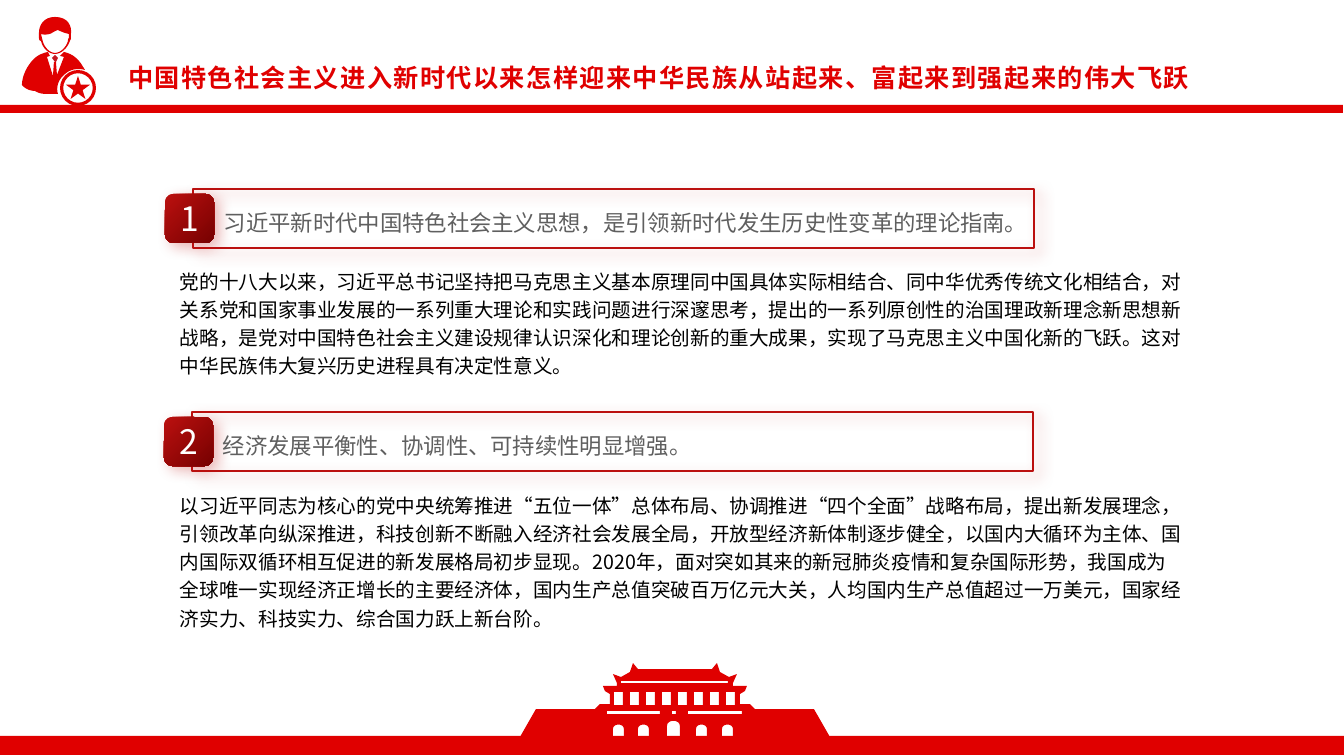
from dataclasses import dataclass

from lxml import etree
from pptx import Presentation, util as u
from pptx.dml.color import RGBColor
from pptx.enum import shapes, text
from pptx.oxml.ns import qn

# ---- Content ----
TITLE = "中国特色社会主义进入新时代以来怎样迎来中华民族从站起来、富起来到强起来的伟大飞跃"
SECTIONS = [
    # number, heading, body, left and top of heading box, top and height of body
    ("1", "习近平新时代中国特色社会主义思想，是引领新时代发生历史性变革的理论指南。",
     "党的十八大以来，习近平总书记坚持把马克思主义基本原理同中国具体实际相结合、"
     "同中华优秀传统文化相结合，对关系党和国家事业发展的一系列重大理论和实践问题进行深邃思考，"
     "提出的一系列原创性的治国理政新理念新思想新战略，"
     "是党对中国特色社会主义建设规律认识深化和理论创新的重大成果，"
     "实现了马克思主义中国化新的飞跃。这对中华民族伟大复兴历史进程具有决定性意义。",
     193, 189, 260, 124),
    ("2", "经济发展平衡性、协调性、可持续性明显增强。",
     "以习近平同志为核心的党中央统筹推进“五位一体”总体布局、协调推进“四个全面”战略布局，"
     "提出新发展理念，引领改革向纵深推进，科技创新不断融入经济社会发展全局，"
     "开放型经济新体制逐步健全，以国内大循环为主体、国内国际双循环相互促进的新发展格局初步显现。"
     "2020年，面对突如其来的新冠肺炎疫情和复杂国际形势，我国成为全球唯一实现经济正增长的主要经济体，"
     "国内生产总值突破百万亿元大关，人均国内生产总值超过一万美元，"
     "国家经济实力、科技实力、综合国力跃上新台阶。",
     192, 412, 484, 152),
]

# Outlines in px: two numbers are a point, six are a cubic curve
HEAD = [(39, 38), (39, 40, 40, 41, 41, 41), (43, 49, 49, 54, 55, 54),
        (61, 54, 67, 49, 70, 41), (70, 40, 71, 40, 71, 38), (71, 34),
        (72, 26, 68, 17, 55, 17), (44, 17, 39, 25, 39, 33)]
FACE = [(41, 34), (43, 35, 49, 35, 52, 33), (55, 31, 58, 30, 58, 30),
        (58, 30, 59, 31, 65, 33), (69, 34), (69, 38), (68, 39, 68, 40, 68, 41),
        (66, 48, 60, 53, 55, 53), (50, 53, 45, 48, 43, 42)]
SUIT = [(64, 75), (70, 69, 78, 68, 85, 70), (84, 68, 83, 67, 82, 65),
        (78, 59, 73, 54, 64, 52), (60, 56), (64, 57), (57, 75), (56, 62), (54, 62),
        (53, 76), (47, 57), (50, 56), (48, 52), (38, 54, 33, 59, 29, 65),
        (24, 72, 22, 80, 22, 85), (26, 90, 32, 91, 35, 91), (38, 93, 42, 94, 46, 94),
        (58, 94), (56, 88, 58, 80, 64, 75)]
KNOT = [(52, 58), (55, 55), (58, 58), (56, 62), (55, 62)]
GATE_CENTRE, GATE_BASE = 675, 737
GATE_HALF = [(155, 737), (139, 709), (80, 709), (75, 704), (65, 704), (65, 694),
             (70, 691), (72, 686), (58, 686), (58, 683), (62, 674), (54, 677),
             (45, 672), (42, 663), (37, 669)]  # distance from the centre, y
SLITS = [(621, 681, 107, 2), (607, 711, 53, 3), (672, 711, 4, 3), (688, 711, 54, 3)]
ARCHES = [(613, 724, 11), (638, 724, 11), (667, 720, 13), (696, 724, 11), (722, 724, 11)]


@dataclass(frozen=True)
class Theme:
    font: str = "Noto Sans CJK SC"
    red: str = "E00000"
    knot: str = "C61821"
    crimson: str = "BB100F"
    maroon: str = "770101"
    white: str = "FFFFFF"
    grey: str = "5F5F5F"
    black: str = "000000"
    title: int = 18
    number: int = 24
    heading: int = 16
    body: int = 14


T = Theme()
SCALE = 914400 / 100.8  # EMU per px


def px(n):
    return u.Emu(round(n * SCALE))


def rgb(color):
    return RGBColor.from_string(color)


prs = Presentation()
prs.slide_width, prs.slide_height = px(1344), px(756)
s = prs.slides.add_slide(prs.slide_layouts[5])


# ---- Helpers ----
def write(sp, words, size, color, spacing=1.0, align=text.PP_ALIGN.LEFT):
    tf = sp.text_frame
    tf.word_wrap = True
    p = tf.paragraphs[0]
    p.text, p.alignment, p.line_spacing = words, align, spacing
    p.font.size, p.font.name = u.Pt(size), T.font
    p.font.color.rgb = rgb(color)
    props = p._p.pPr.find(qn("a:defRPr"))
    props.find(qn("a:latin")).addnext(props.makeelement(qn("a:ea"), {"typeface": T.font}))
    return p


def text_box(box, *args, **kwargs):
    sp = s.shapes.add_textbox(*map(px, box))
    p = write(sp, *args, **kwargs)
    sp.text_frame.auto_size = text.MSO_AUTO_SIZE.SHAPE_TO_FIT_TEXT
    return p


def paint(sp, color):
    sp.shadow.inherit = False
    sp.fill.solid()
    sp.fill.fore_color.rgb = rgb(color)
    sp.line.fill.background()
    return sp


def preset(kind, box):
    return s.shapes.add_shape(kind, *map(px, box))


def glow_shadow(sp):
    sp.shadow.inherit = False
    effects = sp._element.spPr.find(qn("a:effectLst"))
    shadow = etree.SubElement(effects, qn("a:outerShdw"), blurRad=str(u.Pt(10)),
                              dist=str(u.Pt(5)), dir=str(36 * 60000),
                              algn="tl", rotWithShape="0")
    color = etree.SubElement(shadow, qn("a:srgbClr"), val=T.crimson)
    etree.SubElement(color, qn("a:alpha"), val="30000")


def flatten(outline, steps=8):
    points = []
    for seg in outline:
        if len(seg) == 2:
            points.append(seg)
            continue
        ctrl = [points[-1], seg[:2], seg[2:4], seg[4:]]
        for i in range(1, steps + 1):
            t = i / steps
            weights = ((1 - t) ** 3, 3 * t * (1 - t) ** 2, 3 * t * t * (1 - t), t ** 3)
            points.append(tuple(sum(w * c[k] for w, c in zip(weights, ctrl)) for k in (0, 1)))
    return [(px(x), px(y)) for x, y in points]


def silhouette(outlines, color):
    first, *holes = map(flatten, outlines)
    builder = s.shapes.build_freeform(*first[0])
    builder.add_line_segments(first[1:], close=True)
    for hole in holes:
        builder.move_to(*hole[0])
        builder.add_line_segments(hole[1:], close=True)
    paint(builder.convert_to_shape(), color)


def rect_outline(x, y, w, h):
    return [(x, y), (x, y + h), (x + w, y + h), (x + w, y)]


def arch_outline(x, y, w):
    spring = y + w // 2
    return [(x, GATE_BASE), (x, spring), (x, y - 1, x + w, y - 1, x + w, spring),
            (x + w, GATE_BASE)]


# ---- Figure with star badge ----
ring = paint(preset(shapes.MSO_SHAPE.DONUT, (60, 70, 36, 36)), T.red)
ring.adjustments[0] = 0.09
paint(preset(shapes.MSO_SHAPE.STAR_5_POINT, (66, 76, 24, 23)), T.red)
silhouette([KNOT], T.knot)
silhouette([HEAD, FACE], T.red)
silhouette([SUIT], T.red)

# ---- Bands and gate ----
for band in ((0, 736, 1344, 19), (-1, 105, 1344, 8)):
    paint(preset(shapes.MSO_SHAPE.RECTANGLE, band), T.red)
gate = ([(GATE_CENTRE - dx, y) for dx, y in GATE_HALF]
        + [(GATE_CENTRE + dx, y) for dx, y in reversed(GATE_HALF)])
windows = [rect_outline(614 + 16 * i, 692, 9, 13) for i in range(8)]
silhouette([gate, *windows, *(rect_outline(*b) for b in SLITS),
            *(arch_outline(*a) for a in ARCHES)], T.red)

# ---- Title ----
title = s.shapes.title
title.left, title.top, title.width, title.height = map(px, (118, 57, 1179, 40))
p = write(title, TITLE, T.title, T.red)
p.font.bold = True
p._p.pPr.find(qn("a:defRPr")).set("spc", "100")
title.text_frame.auto_size = text.MSO_AUTO_SIZE.NONE
title.text_frame.vertical_anchor = text.MSO_ANCHOR.MIDDLE

# ---- Numbered sections ----
for number, heading, body, left, top, body_top, body_height in SECTIONS:
    frame = preset(shapes.MSO_SHAPE.RECTANGLE, (left, top, 841, 59))
    frame.fill.background()
    frame.line.color.rgb, frame.line.width = rgb(T.crimson), u.Pt(1.5)
    glow_shadow(frame)

    badge = preset(shapes.MSO_SHAPE.ROUNDED_RECTANGLE, (left - 28, top + 5, 49, 49))
    badge.fill.gradient()
    badge.fill.gradient_angle = 315
    for stop, color, pos in zip(badge.fill.gradient_stops, (T.crimson, T.maroon), (0, 1)):
        stop.color.rgb, stop.position = rgb(color), pos
    badge.line.fill.background()
    glow_shadow(badge)
    tf = badge.text_frame
    tf.margin_left = tf.margin_right = tf.margin_top = tf.margin_bottom = 0
    write(badge, number, T.number, T.white, align=text.PP_ALIGN.CENTER)

    text_box((left + 21, top + 2, 810, 50), heading, T.heading, T.grey, spacing=1.5)
    p = text_box((158, body_top, 1036, body_height), body, T.body, T.black, spacing=1.2)
    p._p.pPr.set("marL", str(px(12)))
    p._p.pPr.set("indent", "0")

prs.save("out.pptx")
